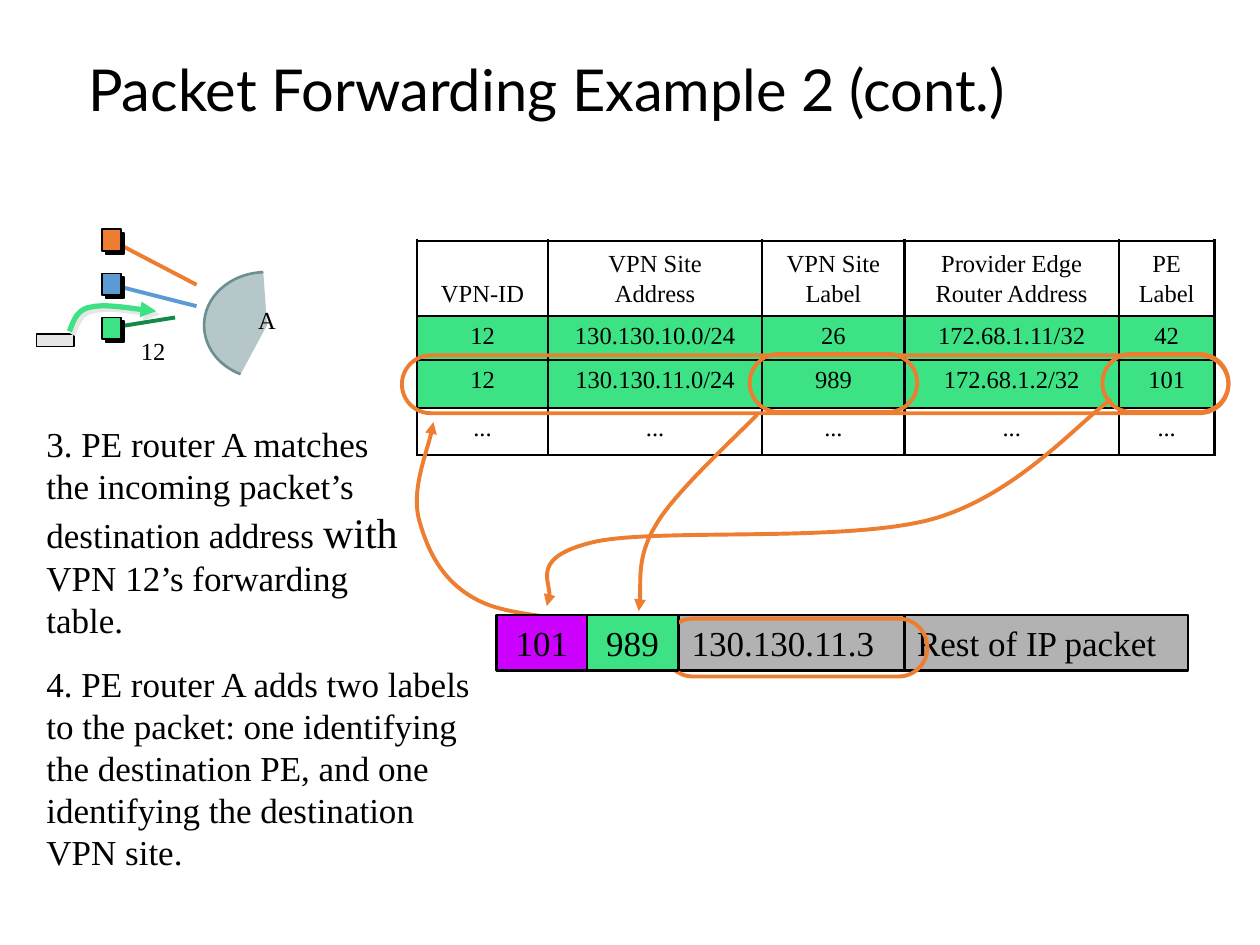
"""Build the VPN packet forwarding slide with its lookup table and label stack."""
from copy import deepcopy

from pptx import Presentation
from pptx.dml.color import RGBColor
from pptx.enum.shapes import MSO_CONNECTOR, MSO_SHAPE
from pptx.enum.text import MSO_ANCHOR, PP_ALIGN
from pptx.oxml import parse_xml
from pptx.oxml.ns import nsdecls, qn
from pptx.util import Inches, Pt

RECTANGLE, PILL = MSO_SHAPE.RECTANGLE, MSO_SHAPE.ROUNDED_RECTANGLE
STRAIGHT = MSO_CONNECTOR.STRAIGHT
LEFT, CENTER = PP_ALIGN.LEFT, PP_ALIGN.CENTER
TOP, MIDDLE, BOTTOM = MSO_ANCHOR.TOP, MSO_ANCHOR.MIDDLE, MSO_ANCHOR.BOTTOM

BLACK = RGBColor(0x00, 0x00, 0x00)
WHITE = RGBColor(0xFF, 0xFF, 0xFF)
GRAY = RGBColor(0xB2, 0xB2, 0xB2)
LIGHT_GRAY = RGBColor(0xE7, 0xE6, 0xE6)
GREEN = RGBColor(0x3C, 0xE2, 0x83)
DARK_GREEN = RGBColor(0x15, 0x8A, 0x47)
ORANGE = RGBColor(0xED, 0x7D, 0x31)
BLUE = RGBColor(0x5B, 0x9B, 0xD5)
PURPLE = RGBColor(0xCC, 0x00, 0xFF)
ROUTER_FILL = RGBColor(0xB6, 0xC7, 0xC9)
ROUTER_LINE = RGBColor(0x6C, 0x8F, 0x93)

TITLE_FONT = {"name": "Lato", "size": Pt(33), "bold": False}
SMALL_FONT = {"name": "Times New Roman", "size": Pt(14), "bold": False}
BODY_FONT = {**SMALL_FONT, "size": Pt(20)}
LARGE_FONT = {**SMALL_FONT, "size": Pt(24)}

COLUMN_WIDTHS = [1.04, 1.7, 1.13, 1.7, 0.76]
ROW_HEIGHTS = [0.6, 0.35, 0.38, 0.37]
ROW_FILLS = [WHITE, GREEN, GREEN, None]
TABLE_ROWS = [
    ["VPN-ID", "VPN Site\nAddress", "VPN Site\nLabel", "Provider Edge\nRouter Address", "PE\nLabel"],
    ["12", "130.130.10.0/24", "26", "172.68.1.11/32", "42"],
    ["12", "130.130.11.0/24", "989", "172.68.1.2/32", "101"],
    ["..."] * len(COLUMN_WIDTHS),
]

ROUTER_OUTLINE = [(1.91, 2.97), (1.73, 2.9), (1.62, 2.75), (1.62, 2.58), (1.62, 2.36),
                  (1.82, 2.17), (2.09, 2.16), (2.09, 2.16), (2.12, 2.58), (2.12, 2.58)]
INCOMING_PATH = [(0.55, 2.63), (0.57, 2.6), (0.59, 2.46), (0.71, 2.44),
                 (0.82, 2.41), (1.13, 2.46), (1.24, 2.47)]
LOOKUP_PATH = [(5.31, 4.97), (5.07, 4.94), (4.18, 4.93), (3.85, 4.79), (3.52, 4.65),
               (3.4, 4.38), (3.33, 4.14), (3.26, 3.9), (3.42, 3.51), (3.44, 3.35)]
SITE_LABEL_PATH = [(6.01, 3.29), (5.87, 3.44), (5.36, 3.9), (5.21, 4.16),
                   (5.05, 4.42), (5.1, 4.7), (5.07, 4.85)]
EDGE_LABEL_PATH = [(8.82, 3.17), (8.59, 3.32), (8.08, 3.93), (7.4, 4.12), (6.71, 4.31),
                   (5.23, 4.19), (4.72, 4.3), (4.21, 4.42), (4.42, 4.71), (4.34, 4.81)]


def format_font(font, values):
    """Apply a dict of font values in black."""
    for name, value in values.items():
        setattr(font, name, value)
    font.color.rgb = BLACK


def write_text(frame, runs, alignment=LEFT, anchor=TOP):
    """Write (text, font) runs into the first paragraph of a frame."""
    frame.vertical_anchor = anchor
    paragraph = frame.paragraphs[0]
    paragraph.alignment = alignment
    for text, values in runs:
        for index, line in enumerate(text.split("\n")):
            if index:
                paragraph.add_line_break()
            run = paragraph.add_run()
            run.text = line
            format_font(run.font, values)


def add_text(slide, box, runs, wrap=True):
    """Add a text box."""
    frame = slide.shapes.add_textbox(*map(Inches, box)).text_frame
    frame.word_wrap = wrap
    write_text(frame, runs)


def style_shape(shape, fill, line, width, shadow=None):
    """Set fill, line and an optional offset shadow."""
    shape.shadow.inherit = False
    if fill is None:
        shape.fill.background()
    else:
        shape.fill.solid()
        shape.fill.fore_color.rgb = fill
    shape.line.color.rgb = line
    shape.line.width = Pt(width)
    if shadow is not None:
        shape.element.spPr.find(qn("a:effectLst")).append(parse_xml(
            f'<a:outerShdw {nsdecls("a")} dist="{Pt(2.8)}" dir="2700000" algn="ctr" '
            f'rotWithShape="0"><a:srgbClr val="{shadow}"/></a:outerShdw>'))


def add_box(slide, box, fill, width, shadow=None):
    """Add a black-edged rectangle."""
    shape = slide.shapes.add_shape(RECTANGLE, *map(Inches, box))
    style_shape(shape, fill, BLACK, width, shadow)
    return shape


def add_packet_field(slide, left, width, fill, text, alignment):
    """Add one field of the labelled packet."""
    shape = add_box(slide, (left, 4.88, width, 0.44), fill, 1.5)
    write_text(shape.text_frame, [(text, BODY_FONT)], alignment)


def add_highlight(slide, box):
    """Add an orange pill outline."""
    shape = slide.shapes.add_shape(PILL, *map(Inches, box))
    shape.adjustments[0] = 0.5
    style_shape(shape, None, ORANGE, 2.25)


def add_curve(slide, points, line, width, fill=None, arrow=False, shadow=None):
    """Add a cubic Bezier outline from a start point and control triples."""
    points = [(Inches(x), Inches(y)) for x, y in points]
    builder = slide.shapes.build_freeform(*points[0])
    builder.add_line_segments(points[1:], close=False)
    shape = builder.convert_to_shape()
    segments = list(shape.element.iter(qn("a:lnTo")))
    for index in range(0, len(segments), 3):
        curve = parse_xml(f'<a:cubicBezTo {nsdecls("a")}/>')
        segments[index].addprevious(curve)
        for segment in segments[index:index + 3]:
            curve.append(segment[0])
            segment.getparent().remove(segment)
    style_shape(shape, fill, line, width, shadow)
    if arrow:
        shape.element.spPr.find(qn("a:ln")).append(
            parse_xml(f'<a:tailEnd {nsdecls("a")} type="triangle"/>'))
    return shape


def add_router(slide):
    """Add the filled router sector with a line along its arc only."""
    shape = add_curve(slide, ROUTER_OUTLINE, ROUTER_LINE, 1.5, ROUTER_FILL)
    sector = next(shape.element.iter(qn("a:path")))
    arc = deepcopy(sector)
    arc.remove(arc[-1])
    arc.set("fill", "none")
    sector.set("stroke", "0")
    sector.append(parse_xml(f'<a:close {nsdecls("a")}/>'))
    sector.addprevious(arc)


def add_link(slide, start, end, color):
    """Add a straight site link."""
    connector = slide.shapes.add_connector(STRAIGHT, *map(Inches, start + end))
    connector.line.color.rgb = color
    connector.line.width = Pt(2.25)
    connector.element.spPr.append(parse_xml(f'<a:effectLst {nsdecls("a")}/>'))


def format_cell(cell, text, fill, is_header):
    """Fill, border and label a table cell."""
    cell.margin_top = Inches(0.05)
    cell.margin_bottom = Inches(0.07 if is_header else 0.05)
    if fill is None:
        cell.fill.background()
    else:
        cell.fill.solid()
        cell.fill.fore_color.rgb = fill
    write_text(cell.text_frame, [(text, SMALL_FONT)], CENTER)
    cell.vertical_anchor = BOTTOM if is_header else TOP
    if is_header:
        cell.text_frame.paragraphs[0].line_spacing = Pt(17)
    properties = cell._tc.get_or_add_tcPr()
    for index, side in enumerate(("lnL", "lnR", "lnT", "lnB")):
        properties.insert(index, parse_xml(
            f'<a:{side} {nsdecls("a")} w="{Pt(1.5)}"><a:solidFill>'
            f'<a:srgbClr val="{BLACK}"/></a:solidFill></a:{side}>'))


def add_forwarding_table(slide):
    """Add the VPN forwarding table."""
    box = (3.31, 1.91, sum(COLUMN_WIDTHS), sum(ROW_HEIGHTS))
    table = slide.shapes.add_table(len(ROW_HEIGHTS), len(COLUMN_WIDTHS), *map(Inches, box)).table
    table.first_row = table.horz_banding = False
    for column, width in zip(table.columns, COLUMN_WIDTHS):
        column.width = Inches(width)
    for index, (row, height) in enumerate(zip(table.rows, ROW_HEIGHTS)):
        row.height = Inches(height)
        for cell, text in zip(row.cells, TABLE_ROWS[index]):
            format_cell(cell, text, ROW_FILLS[index], index == 0)


def add_network(slide):
    """Add the sites, their links and edge router A."""
    add_router(slide)
    add_box(slide, (0.29, 2.65, 0.3, 0.1), LIGHT_GRAY, 1)
    add_curve(slide, INCOMING_PATH, GREEN, 3, arrow=True, shadow=LIGHT_GRAY)
    add_text(slide, (1.02, 2.62, 0.42, 0.35), [("12", SMALL_FONT)], wrap=False)
    add_link(slide, (0.89, 1.91), (1.56, 2.26), ORANGE)
    add_link(slide, (1.56, 2.43), (0.89, 2.26), BLUE)
    add_link(slide, (0.89, 2.6), (1.39, 2.52), DARK_GREEN)
    for index, color in enumerate((ORANGE, BLUE, GREEN)):
        add_box(slide, (0.81, 1.82 + 0.35 * index, 0.15, 0.17), color, 1, BLACK)
    add_text(slide, (1.95, 2.37, 0.34, 0.35), [("A", SMALL_FONT)], wrap=False)


def main():
    """Assemble and save the slide."""
    presentation = Presentation()
    presentation.slide_width, presentation.slide_height = Inches(10), Inches(7.5)
    slide = presentation.slides.add_slide(presentation.slide_layouts[5])
    title = slide.shapes.title
    title.left, title.top, title.width, title.height = map(Inches, (0.6, 0.28, 8.34, 0.92))
    write_text(title.text_frame, [("Packet Forwarding Example 2 (cont.)", TITLE_FONT)], LEFT, MIDDLE)
    title.text_frame.paragraphs[0].line_spacing = 0.9

    add_packet_field(slide, 5.39, 1.8, GRAY, "130.130.11.3", LEFT)
    add_packet_field(slide, 7.18, 2.25, GRAY, "Rest of IP packet", LEFT)
    add_forwarding_table(slide)
    add_network(slide)
    add_text(slide, (0.27, 3.3, 3.01, 1.85), [
        ("3. PE router A matches the incoming packet’s destination address ", BODY_FONT),
        ("with ", LARGE_FONT), ("VPN 12’s forwarding table.", BODY_FONT)])
    add_highlight(slide, (3.19, 2.82, 6.56, 0.46))
    add_highlight(slide, (5.27, 4.91, 2.09, 0.46))
    add_curve(slide, LOOKUP_PATH, ORANGE, 2.25, arrow=True)
    add_packet_field(slide, 4.66, 0.72, GREEN, "989", CENTER)
    add_packet_field(slide, 3.94, 0.72, PURPLE, "101", CENTER)
    add_highlight(slide, (5.95, 2.81, 1.33, 0.46))
    add_highlight(slide, (8.75, 2.81, 1, 0.46))
    for points in (SITE_LABEL_PATH, EDGE_LABEL_PATH):
        add_curve(slide, points, ORANGE, 2.25, arrow=True)
    add_text(slide, (0.27, 5.21, 3.73, 1.78), [(
        "4. PE router A adds two labels to the packet: one identifying the destination PE, "
        "and one identifying the destination VPN site.", BODY_FONT)])
    presentation.save("out.pptx")


if __name__ == "__main__":
    main()
